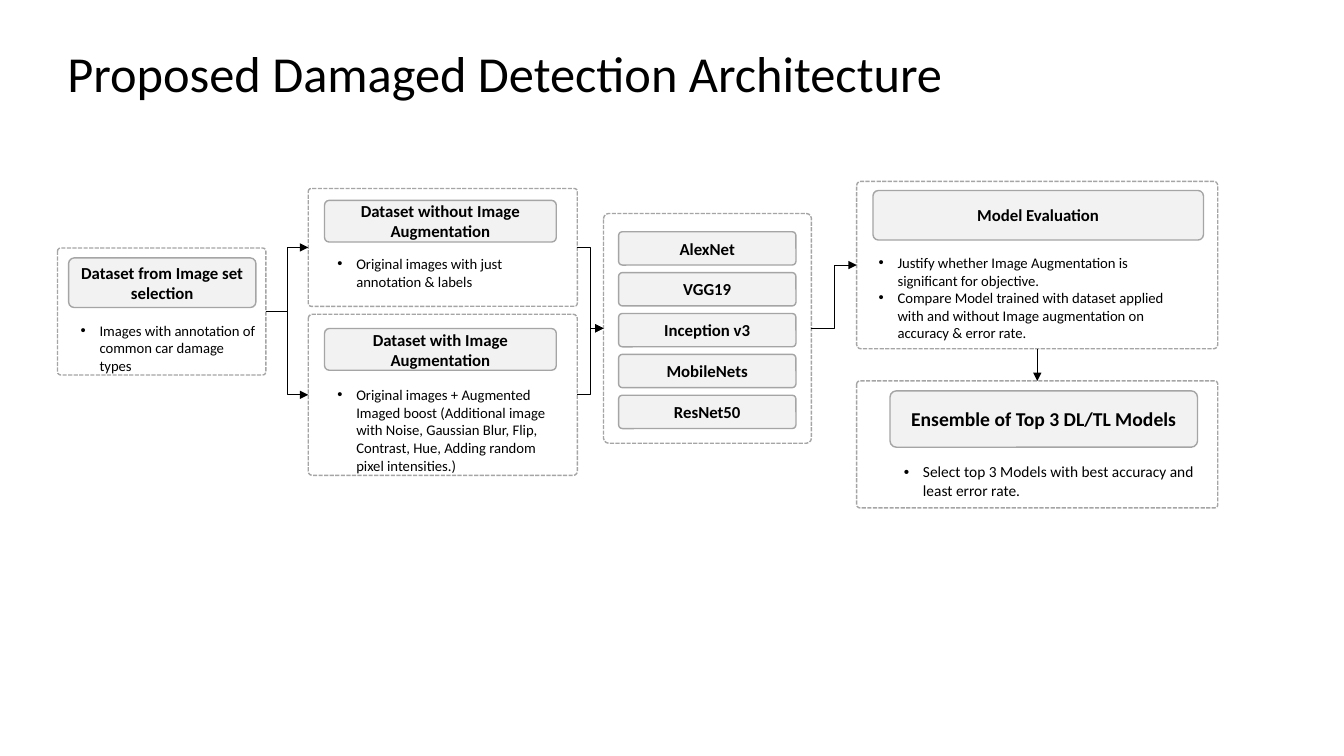
from lxml import etree
from pptx import Presentation
from pptx.dml.color import RGBColor
from pptx.enum.dml import MSO_LINE
from pptx.enum.shapes import MSO_CONNECTOR, MSO_SHAPE
from pptx.enum.text import MSO_ANCHOR, PP_ALIGN
from pptx.oxml.ns import qn
from pptx.util import Cm, Pt

BLACK, GREY, PALE = "000000", "A5A5A5", "F2F2F2"
TOP, LEFT, BOTTOM, RIGHT = range(4)


def color(hex_code):
    return RGBColor.from_string(hex_code)


def write(paragraph, text, size, bold=False):
    run = paragraph.add_run()
    run.text = text
    run.font.name = "Calibri"
    run.font.size = Pt(size)
    run.font.bold = bold
    run.font.color.rgb = color(BLACK)


def add_title(slide, box, text):
    title = slide.shapes.add_textbox(*map(Cm, box))
    frame = title.text_frame
    frame.word_wrap = True
    frame.vertical_anchor = MSO_ANCHOR.MIDDLE
    frame.paragraphs[0].line_spacing = 0.9
    write(frame.paragraphs[0], text, 36)


def add_rounded(slide, box, corner):
    rounded = slide.shapes.add_shape(MSO_SHAPE.ROUNDED_RECTANGLE, *map(Cm, box))
    rounded.shadow.inherit = False
    rounded.adjustments[0] = corner
    rounded.line.color.rgb = color(GREY)
    rounded.line.width = Pt(1)
    return rounded


def add_frame(slide, box):
    frame = add_rounded(slide, box, 0.025)
    frame.fill.background()
    frame.line.dash_style = MSO_LINE.SQUARE_DOT
    return frame


def add_heading(slide, box, text, size=12):
    heading = add_rounded(slide, box, 0.112)
    heading.fill.solid()
    heading.fill.fore_color.rgb = color(PALE)
    frame = heading.text_frame
    frame.word_wrap = True
    frame.vertical_anchor = MSO_ANCHOR.MIDDLE
    frame.margin_top = frame.margin_bottom = 0
    frame.paragraphs[0].alignment = PP_ALIGN.CENTER
    write(frame.paragraphs[0], text, size, bold=True)


def add_notes(slide, box, notes, size):
    frame = slide.shapes.add_textbox(*map(Cm, box)).text_frame
    frame.word_wrap = True
    for index, note in enumerate(notes):
        paragraph = frame.add_paragraph() if index else frame.paragraphs[0]
        properties = paragraph._p.get_or_add_pPr()
        properties.set("marL", str(Cm(0.48)))
        properties.set("indent", str(-Cm(0.48)))
        etree.SubElement(properties, qn("a:buFont")).set("typeface", "Arial")
        etree.SubElement(properties, qn("a:buChar")).set("char", "•")
        write(paragraph, note, size)


def add_stage(slide, box, heading, heading_box, notes, notes_box,
              heading_size=12, notes_size=10.5):
    left, top, _, height = box
    frame = add_frame(slide, box)
    dx, dy, width, heading_height = heading_box
    add_heading(slide, (left + dx, top + dy, width, heading_height),
                heading, heading_size)
    dx, dy, width = notes_box
    add_notes(slide, (left + dx, top + dy, width, height - dy),
              notes, notes_size)
    return frame


def add_models(slide, box, names):
    left, top, width, _ = box
    frame = add_frame(slide, box)
    for row, name in enumerate(names):
        add_heading(slide, (left + 0.38, top + 0.46 + row * 1.03,
                            width - 0.77, 0.84), name)
    return frame


def add_arrow(slide, start, start_side, end, end_side,
              kind=MSO_CONNECTOR.ELBOW, head=True):
    arrow = slide.shapes.add_connector(kind, 0, 0, 0, 0)
    arrow.begin_connect(start, start_side)
    arrow.end_connect(end, end_side)
    arrow.line.color.rgb = color(BLACK)
    arrow.line.width = Pt(0.5)
    tail = etree.SubElement(arrow.line._get_or_add_ln(), qn("a:tailEnd"))
    tail.set("type", "triangle")
    etree.SubElement(arrow._element.spPr, qn("a:effectLst"))


def main():
    deck = Presentation()
    deck.slide_width, deck.slide_height = Cm(33.87), Cm(19.05)
    slide = deck.slides.add_slide(deck.slide_layouts[6])

    add_title(slide, (1.45, 0.91, 29.2, 2),
              "Proposed Damaged Detection Architecture")
    selection = add_stage(
        slide, (1.45, 6.25, 5.25, 3.2),
        "Dataset from Image set selection", (0.28, 0.25, 4.72, 1.25),
        ["Images with annotation of common car damage types"],
        (0.33, 1.73, 4.93))
    plain = add_stage(
        slide, (7.77, 4.75, 6.78, 2.97),
        "Dataset without Image Augmentation", (0.41, 0.3, 5.84, 1.05),
        ["Original images with just annotation & labels"],
        (0.48, 1.55, 5.84))
    augmented = add_stage(
        slide, (7.77, 7.92, 6.78, 4.06),
        "Dataset with Image Augmentation", (0.41, 0.36, 5.84, 1.05),
        ["Original images + Augmented Imaged boost (Additional image with "
         "Noise, Gaussian Blur, Flip, Contrast, Hue, Adding random pixel "
         "intensities.)"],
        (0.48, 1.68, 5.84))
    models = add_models(
        slide, (15.21, 5.38, 5.24, 5.79),
        ["AlexNet", "VGG19", "Inception v3", "MobileNets", "ResNet50"])
    evaluation = add_stage(
        slide, (21.59, 4.57, 9.1, 4.22),
        "Model Evaluation", (0.41, 0.23, 8.33, 1.25),
        ["Justify whether Image Augmentation is significant for objective.",
         "Compare Model trained with dataset applied with and without Image "
         "augmentation on accuracy & error rate."],
        (0.3, 1.7, 8.28))
    ensemble = add_stage(
        slide, (21.59, 9.6, 9.1, 3.2),
        "Ensemble of Top 3 DL/TL Models", (0.84, 0.25, 7.75, 1.42),
        ["Select top 3 Models with best accuracy and least error rate."],
        (0.94, 1.93, 8.43), heading_size=14, notes_size=11)

    for dataset in (plain, augmented):
        add_arrow(slide, selection, RIGHT, dataset, LEFT)
        add_arrow(slide, dataset, RIGHT, models, LEFT)
    add_arrow(slide, models, RIGHT, evaluation, LEFT)
    add_arrow(slide, evaluation, BOTTOM, ensemble, TOP, MSO_CONNECTOR.STRAIGHT)

    deck.save("out.pptx")


if __name__ == "__main__":
    main()
